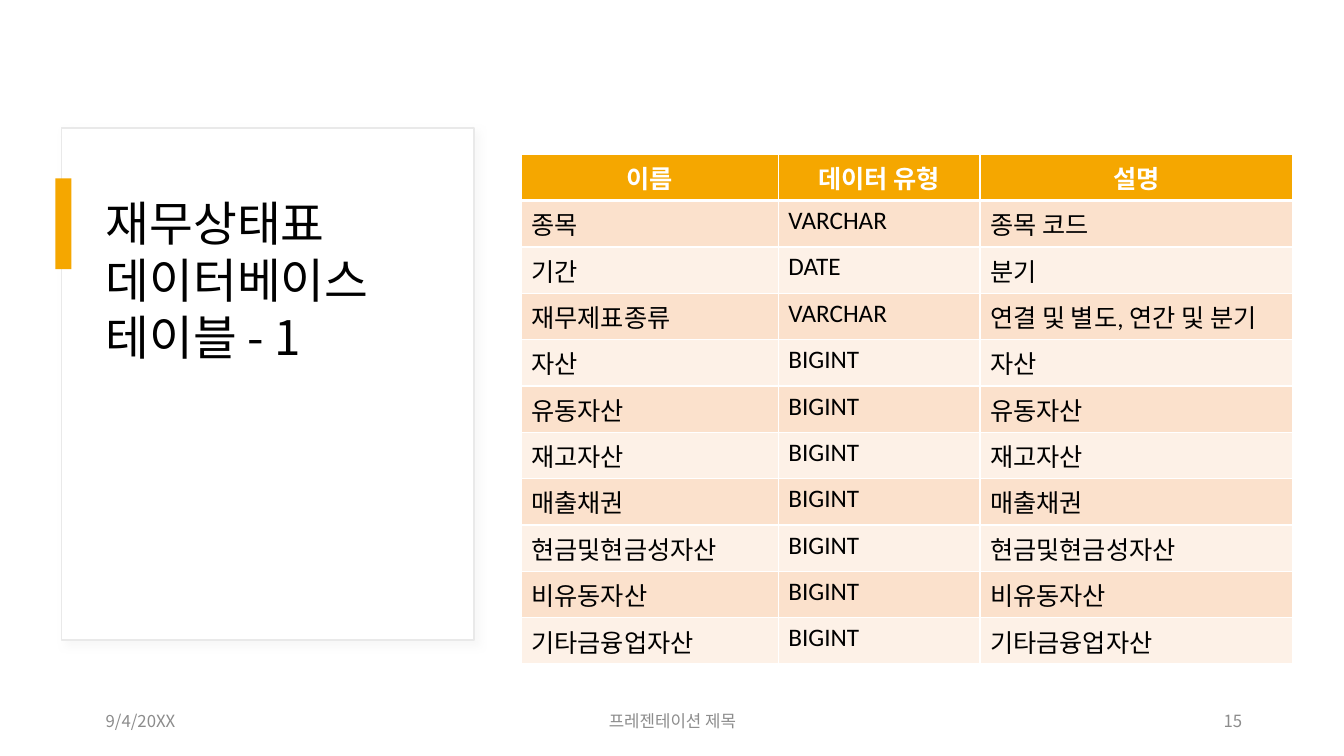
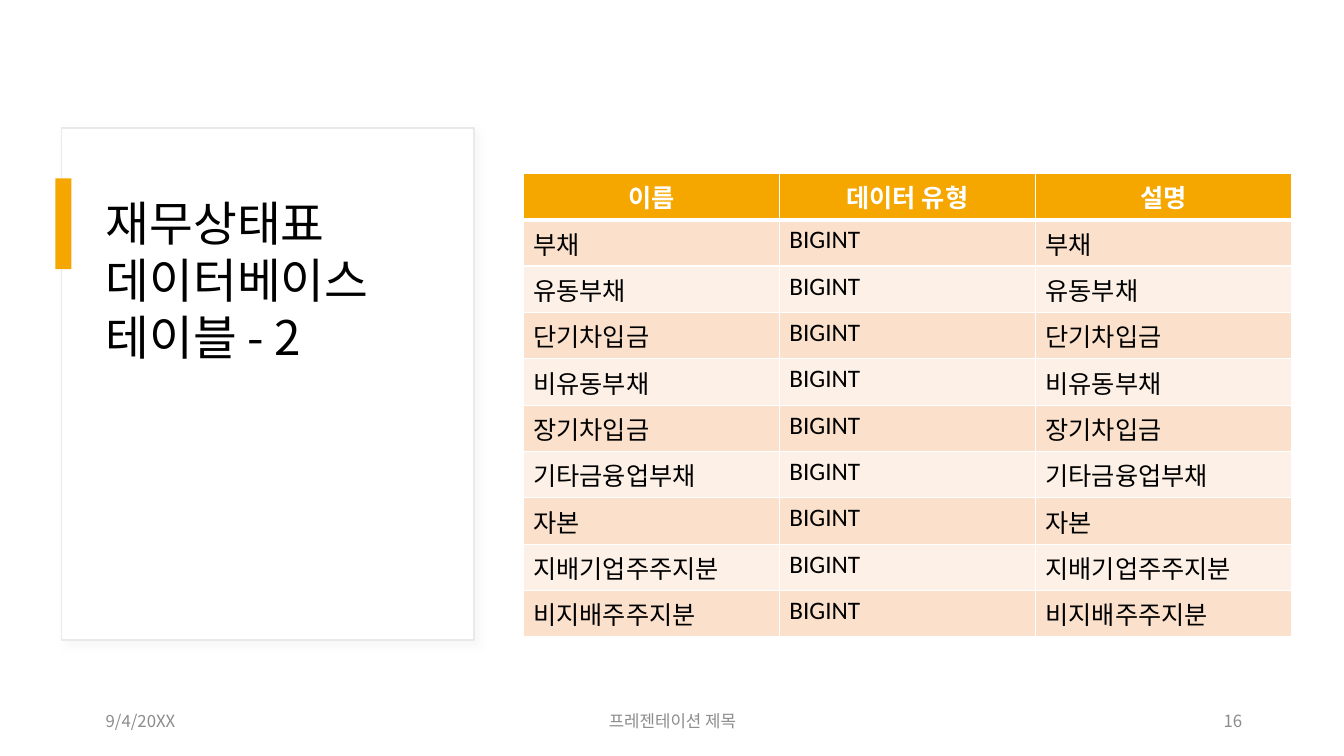
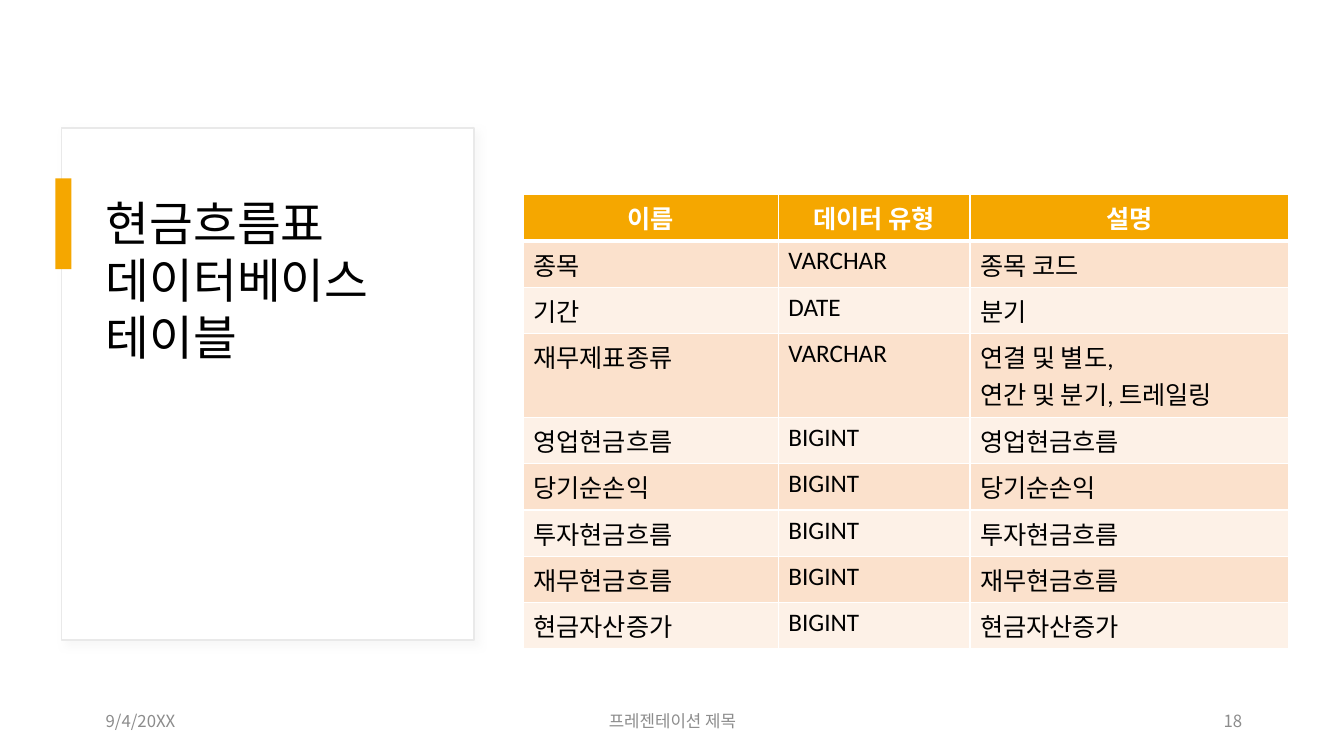
from dataclasses import dataclass

from lxml import etree
from pptx import Presentation
from pptx.dml.color import RGBColor
from pptx.enum import shapes, text
from pptx.oxml import parse_xml
from pptx.oxml.ns import nsdecls, qn
from pptx.util import Inches, Pt


@dataclass(frozen=True)
class Theme:
    accent: str = "F5A700"
    white: str = "FFFFFF"
    black: str = "000000"
    muted: str = "8C8C8C"
    panel_line: str = "E9E9E9"
    shadow: str = "D9D9D9"
    bands: tuple = ("FBE1CC", "FDF1E7")
    korean_font: str = "Noto Sans CJK KR"
    table_font: str = "Calibri"
    title_size: int = 34
    table_size: int = 18
    footer_size: int = 12
    row_height: float = 0.46
    extra_line_height: float = 0.37


THEME = Theme()
TITLE_ONLY = 5
HEADINGS = ("이름", "데이터 유형", "설명")
KEY_ROWS = [("종목", "VARCHAR", "종목 코드"), ("기간", "DATE", "분기")]


def accounts(*names):
    """Rows for amounts, which are described by their own name."""
    return [(name, "BIGINT", name) for name in names]


SLIDES = [
    {
        "title": "재무상태표\v데이터베이스\v테이블 - 1",
        "number": 15,
        "corner": (5.17, 1.53),
        "columns": (2.55, 2, 3.1),
        "rows": KEY_ROWS
        + [("재무제표종류", "VARCHAR", "연결 및 별도, 연간 및 분기")]
        + accounts("자산", "유동자산", "재고자산", "매출채권",
                   "현금및현금성자산", "비유동자산", "기타금융업자산"),
    },
    {
        "title": "재무상태표\v데이터베이스\v테이블 - 2",
        "number": 16,
        "corner": (5.19, 1.72),
        "columns": (2.54, 2.54, 2.54),
        "rows": accounts("부채", "유동부채", "단기차입금", "비유동부채",
                         "장기차입금", "기타금융업부채", "자본",
                         "지배기업주주지분", "비지배주주지분"),
    },
    {
        "title": "현금흐름표\v데이터베이스\v테이블",
        "number": 18,
        "corner": (5.19, 1.93),
        "columns": (2.53, 1.9, 3.16),
        "rows": KEY_ROWS
        + [("재무제표종류", "VARCHAR", "연결 및 별도,\n연간 및 분기, 트레일링")]
        + accounts("영업현금흐름", "당기순손익", "투자현금흐름",
                   "재무현금흐름", "현금자산증가"),
    },
]


def style_text(frame, font, size, color, align, bold=False):
    for paragraph in frame.paragraphs:
        paragraph.alignment = align
        for run in paragraph.runs:
            run.font.name = font
            run.font.size = Pt(size)
            run.font.bold = bold
            run.font.color.rgb = RGBColor.from_string(color)
            east_asian = etree.SubElement(run.font._element, qn("a:ea"))
            east_asian.set("typeface", THEME.korean_font)


def add_rectangle(slide, left, top, width, height, fill):
    shape = slide.shapes.add_shape(
        shapes.MSO_SHAPE.RECTANGLE,
        Inches(left), Inches(top), Inches(width), Inches(height))
    shape.shadow.inherit = False
    shape.fill.solid()
    shape.fill.fore_color.rgb = RGBColor.from_string(fill)
    shape.line.fill.background()
    return shape


def add_soft_shadow(shape):
    effects = shape.element.spPr.find(qn("a:effectLst"))
    effects.append(parse_xml(
        f'<a:outerShdw {nsdecls("a")} blurRad="{Pt(6)}" dist="{Pt(4)}" '
        f'dir="2700000" algn="tl" rotWithShape="0">'
        f'<a:srgbClr val="{THEME.shadow}"><a:alpha val="20000"/></a:srgbClr>'
        f'</a:outerShdw>'))


def add_title_panel(slide, title_text, left, top, width, height):
    panel = add_rectangle(slide, left, top, width, height, THEME.white)
    panel.line.color.rgb = RGBColor.from_string(THEME.panel_line)
    panel.line.width = Pt(1)
    add_soft_shadow(panel)
    add_rectangle(slide, left - 0.06, top + 0.5, 0.16, 0.9, THEME.accent)

    title = slide.shapes.title
    title.element.getparent().append(title.element)  # bring in front of the panel
    title.left, title.top = Inches(left + 0.34), Inches(top + 0.6)
    title.width, title.height = Inches(width - 0.7), Inches(1.87)
    frame = title.text_frame
    frame.text = title_text
    frame.auto_size = text.MSO_AUTO_SIZE.NONE
    frame.vertical_anchor = text.MSO_ANCHOR.TOP
    frame.paragraphs[0].line_spacing = 1.0
    style_text(frame, THEME.korean_font, THEME.title_size, THEME.black,
               text.PP_ALIGN.LEFT)


def add_footer(slide, number, top, height):
    parts = (
        ("9/4/20XX", 0.95, 3, text.PP_ALIGN.LEFT),
        ("프레젠테이션 제목", 4.42, 4.5, text.PP_ALIGN.CENTER),
        (str(number), 9.42, 3, text.PP_ALIGN.RIGHT),
    )
    for words, left, width, align in parts:
        box = slide.shapes.add_textbox(
            Inches(left), Inches(top), Inches(width), Inches(height))
        frame = box.text_frame
        frame.word_wrap = True
        frame.vertical_anchor = text.MSO_ANCHOR.MIDDLE
        frame.text = words
        frame.paragraphs[0].space_after = Pt(6)
        style_text(frame, THEME.korean_font, THEME.footer_size, THEME.muted, align)


def set_borders(cell, top, bottom):
    """White borders; top and bottom are widths in points."""
    properties = cell._tc.get_or_add_tcPr()
    for side, width in (("L", 1), ("R", 1), ("T", top), ("B", bottom)):
        properties.append(parse_xml(
            f'<a:ln{side} {nsdecls("a")} w="{Pt(width)}"><a:solidFill>'
            f'<a:srgbClr val="{THEME.white}"/></a:solidFill></a:ln{side}>'))


def row_height(line):
    """Height in inches for the cell of the row with the most text lines."""
    extra_lines = max(words.count("\n") for words in line)
    return THEME.row_height + extra_lines * THEME.extra_line_height


def add_schema_table(slide, rows, columns, left, top):
    lines = [HEADINGS, *rows]
    heights = [row_height(line) for line in lines]
    table = slide.shapes.add_table(
        len(lines), len(columns), Inches(left), Inches(top),
        Inches(sum(columns)), Inches(sum(heights))).table
    for column, width in zip(table.columns, columns):
        column.width = Inches(width)
    for index, (line, height) in enumerate(zip(lines, heights)):
        table.rows[index].height = Inches(height)
        header = index == 0
        fill = THEME.accent if header else THEME.bands[(index - 1) % 2]
        color = THEME.white if header else THEME.black
        align = text.PP_ALIGN.CENTER if header else text.PP_ALIGN.LEFT
        for cell, words in zip(table.rows[index].cells, line):
            set_borders(cell, top=3 if index == 1 else 1, bottom=3 if header else 1)
            cell.fill.solid()
            cell.fill.fore_color.rgb = RGBColor.from_string(fill)
            cell.text_frame.text = words
            style_text(cell.text_frame, THEME.table_font, THEME.table_size,
                       color, align, bold=header)


def add_schema_slide(presentation, content):
    slide = presentation.slides.add_slide(presentation.slide_layouts[TITLE_ONLY])
    add_title_panel(slide, content["title"], 0.61, 1.27, 4.09, 5.08)
    add_footer(slide, content["number"], 6.95, 0.4)
    add_schema_table(slide, content["rows"], content["columns"], *content["corner"])


def main():
    presentation = Presentation()
    presentation.slide_width = Inches(13.33)
    presentation.slide_height = Inches(7.5)
    for content in SLIDES:
        add_schema_slide(presentation, content)
    presentation.save("out.pptx")


if __name__ == "__main__":
    main()
